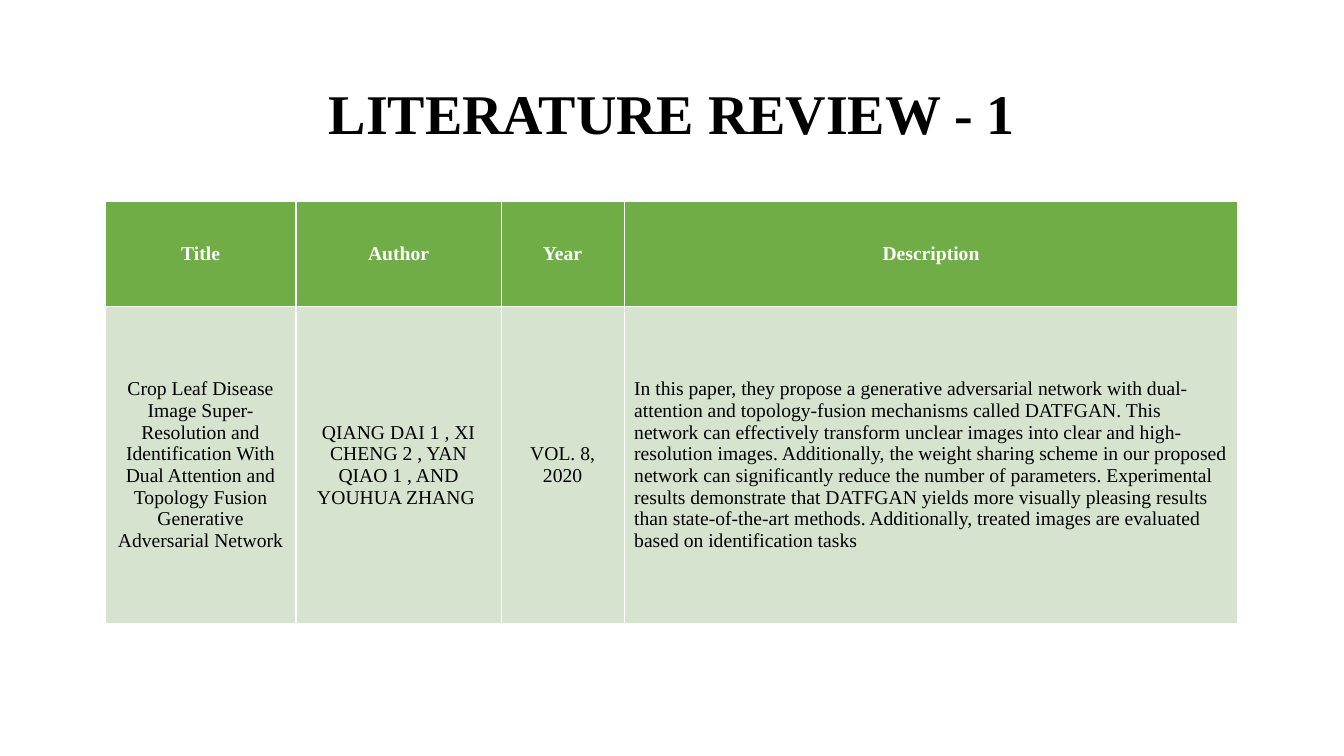
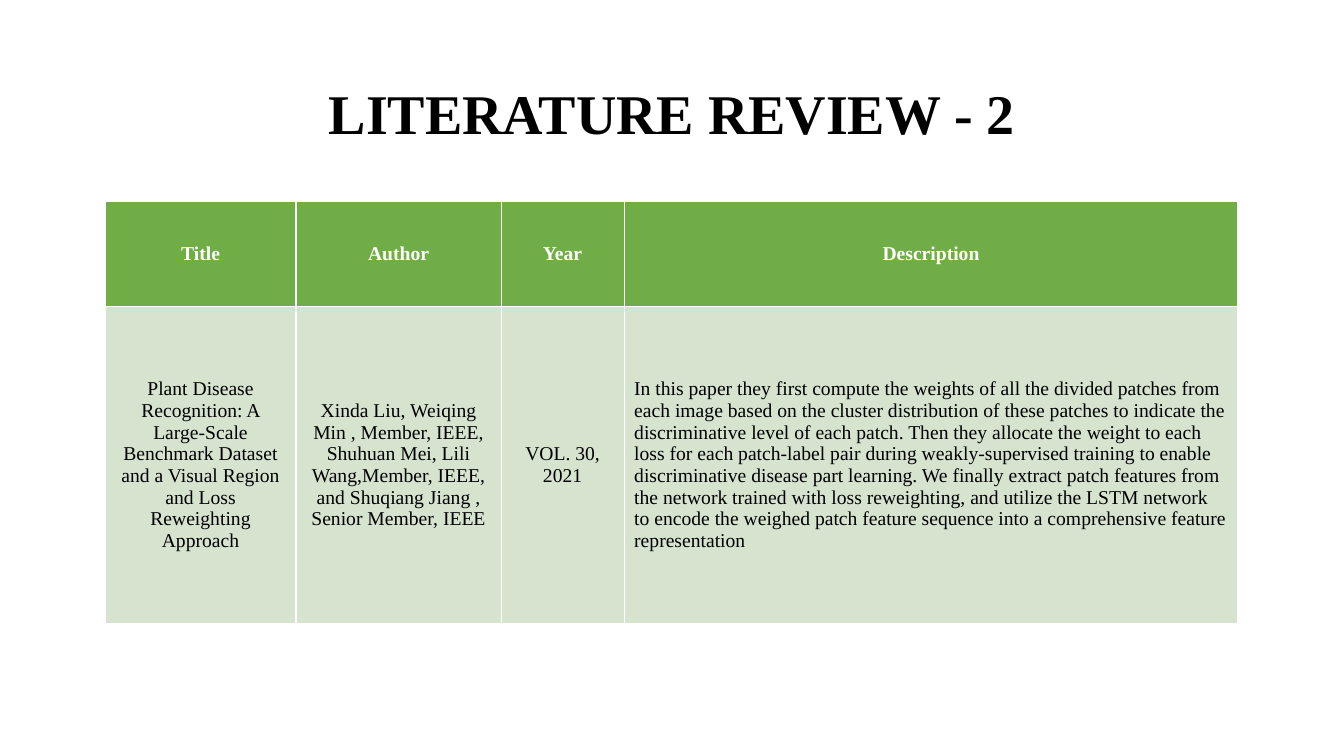
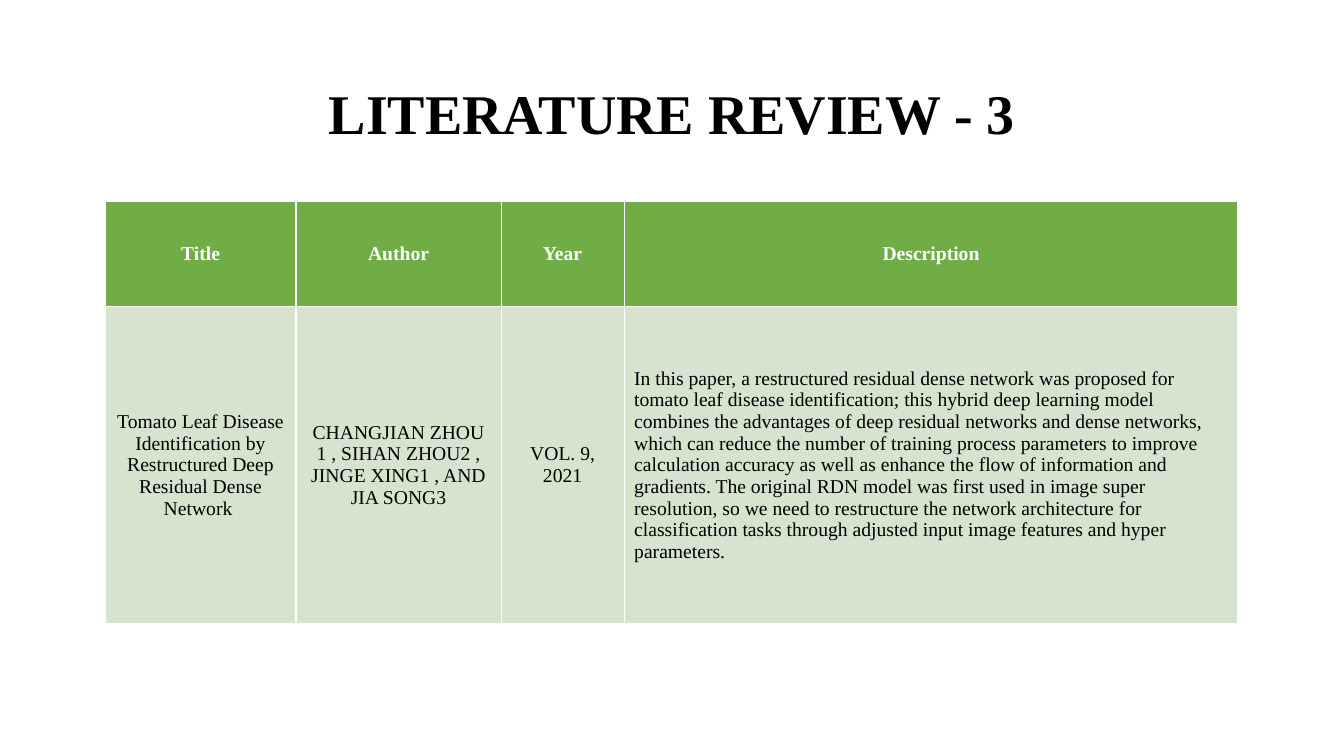
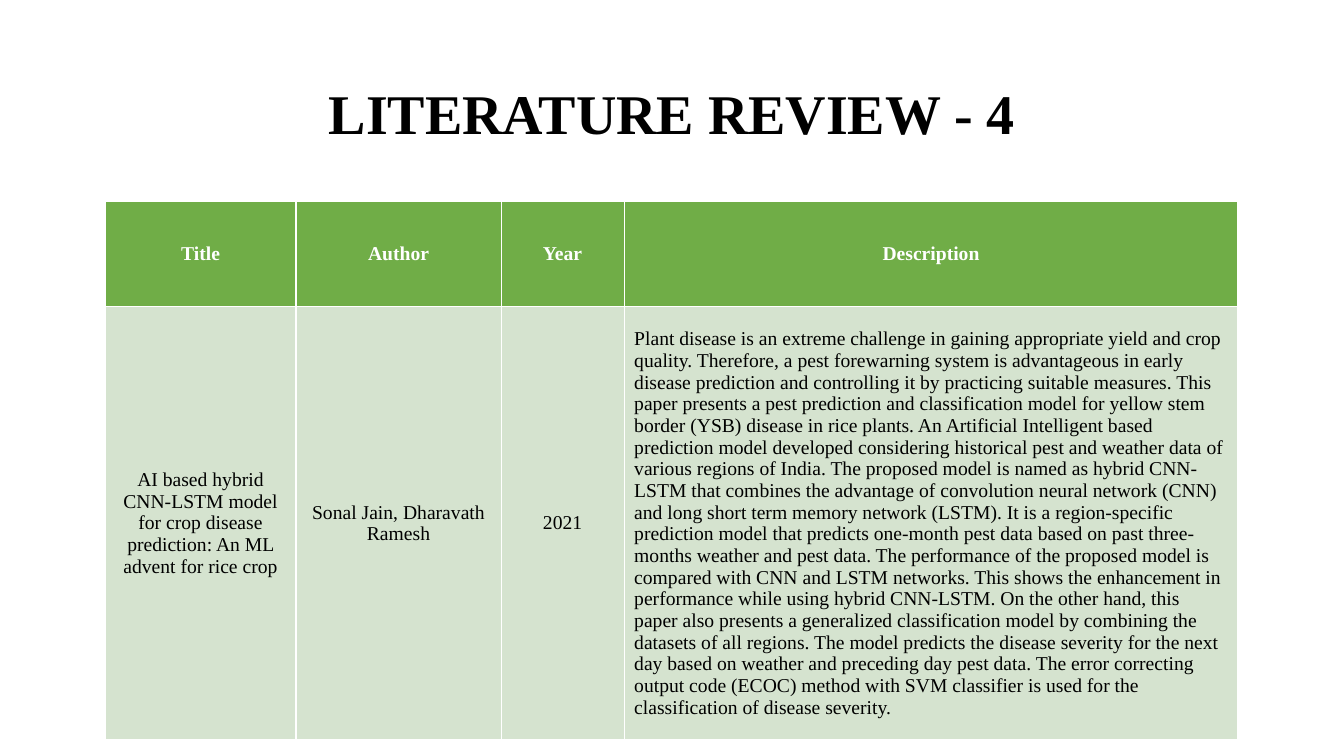
from dataclasses import dataclass

from pptx import Presentation
from pptx.dml.color import RGBColor
from pptx.enum import text
from pptx.slide import Slide
from pptx.table import _Cell
from pptx.text.text import TextFrame
from pptx.util import Cm, Pt

FONT = "Times New Roman"
BLACK = RGBColor(0x00, 0x00, 0x00)
WHITE = RGBColor(0xFF, 0xFF, 0xFF)
GREEN = RGBColor(0x70, 0xAD, 0x47)
PALE_GREEN = RGBColor(0xD5, 0xE3, 0xCF)

BLANK_LAYOUT = 6
HEADINGS = ("Title", "Author", "Year", "Description")
COLUMN_WIDTHS = (Cm(4.81), Cm(5.17), Cm(3.1), Cm(15.47))
ROW_HEIGHTS = (Cm(2.64), Cm(8))
CENTER = text.PP_ALIGN.CENTER
LEFT = text.PP_ALIGN.LEFT


@dataclass(frozen=True)
class Paper:
    title: str
    authors: str
    year: str
    sentences: tuple[str, ...]

    def cells(self) -> tuple[str, ...]:
        return self.title, self.authors, self.year, " ".join(self.sentences)


PAPERS = (
    Paper(
        "Crop Leaf Disease Image Super-Resolution and Identification With Dual "
        "Attention and Topology Fusion Generative Adversarial Network",
        "QIANG DAI 1 , XI CHENG 2 , YAN QIAO 1 , AND YOUHUA ZHANG ",
        "VOL. 8, 2020",
        (
            "In this paper, they propose a generative adversarial network with "
            "dual-attention and topology-fusion mechanisms called DATFGAN.",
            "This network can effectively transform unclear images into clear and "
            "high-resolution images.",
            "Additionally, the weight sharing scheme in our proposed network can "
            "significantly reduce the number of parameters.",
            "Experimental results demonstrate that DATFGAN yields more visually "
            "pleasing results than state-of-the-art methods.",
            "Additionally, treated images are evaluated based on identification tasks",
        ),
    ),
    Paper(
        "Plant Disease Recognition: A Large-Scale Benchmark Dataset and a Visual "
        "Region and Loss Reweighting Approach",
        "Xinda Liu, Weiqing Min , Member, IEEE, Shuhuan Mei, Lili Wang,\tMember, "
        "IEEE, and Shuqiang Jiang , Senior Member, IEEE",
        "VOL. 30, 2021",
        (
            "In this paper they first compute the weights of all the divided patches "
            "from each image based on the cluster distribution of these patches to "
            "indicate the discriminative level of each patch.",
            "Then they allocate the weight to each loss for each patch-label pair "
            "during weakly-supervised training to enable discriminative disease part "
            "learning.",
            "We finally extract patch features from the network trained with loss "
            "reweighting, and utilize the LSTM network to encode the weighed patch "
            "feature sequence into a comprehensive feature representation",
        ),
    ),
    Paper(
        "Tomato Leaf Disease Identification by Restructured Deep Residual Dense "
        "Network ",
        "CHANGJIAN ZHOU 1 , SIHAN ZHOU2 , JINGE XING1 , AND JIA SONG3",
        "VOL. 9, 2021",
        (
            "In this paper, a restructured residual dense network was proposed for "
            "tomato leaf disease identification; this hybrid deep learning model "
            "combines the advantages of deep residual networks and dense networks, "
            "which can reduce the number of training process parameters to improve "
            "calculation accuracy as well as enhance the flow of information and "
            "gradients.",
            "The original RDN model was first used in image super resolution, so we "
            "need to restructure the network architecture for classification tasks "
            "through adjusted input image features and hyper parameters.",
        ),
    ),
    Paper(
        "AI based hybrid CNN-LSTM model for crop disease prediction: An ML advent for "
        "rice crop",
        "Sonal Jain, Dharavath Ramesh",
        "2021",
        (
            "Plant disease is an extreme challenge in gaining appropriate yield and "
            "crop quality.",
            "Therefore, a pest forewarning system is advantageous in early disease "
            "prediction and controlling it by practicing suitable measures.",
            "This paper presents a pest prediction and classification model for yellow "
            "stem border (YSB) disease in rice plants.",
            "An Artificial Intelligent based prediction model developed considering "
            "historical pest and weather data of various regions of India.",
            "The proposed model is named as hybrid CNN-LSTM that combines the "
            "advantage of convolution neural network (CNN) and long short term memory "
            "network (LSTM).",
            "It is a region-specific prediction model that predicts one-month pest "
            "data based on past three-months weather and pest data.",
            "The performance of the proposed model is compared with CNN and LSTM "
            "networks.",
            "This shows the enhancement in performance while using hybrid CNN-LSTM.",
            "On the other hand, this paper also presents a generalized classification "
            "model by combining the datasets of all regions.",
            "The model predicts the disease severity for the next day based on weather "
            "and preceding day pest data.",
            "The error correcting output code (ECOC) method with SVM classifier is "
            "used for the classification of disease severity.",
        ),
    ),
)


def write(
    frame: TextFrame,
    content: str,
    size: int,
    color: RGBColor,
    bold: bool,
    alignment: text.PP_ALIGN = CENTER,
) -> None:
    paragraph = frame.paragraphs[0]
    paragraph.text = content
    paragraph.alignment = alignment
    font = paragraph.font
    font.name = FONT
    font.size = Pt(size)
    font.bold = bold
    font.color.rgb = color


def add_title(slide: Slide, content: str) -> None:
    box = slide.shapes.add_textbox(Cm(6.98), Cm(1.85), Cm(19.91), Cm(1.96))
    box.text_frame.word_wrap = True
    write(box.text_frame, content, 40, BLACK, bold=True)


def fill_cell(cell: _Cell, content: str, is_header: bool, alignment: text.PP_ALIGN) -> None:
    cell.fill.solid()
    cell.fill.fore_color.rgb = GREEN if is_header else PALE_GREEN
    cell.vertical_anchor = text.MSO_ANCHOR.MIDDLE
    color = WHITE if is_header else BLACK
    write(cell.text_frame, content, 14, color, is_header, alignment)


def add_paper_table(slide: Slide, paper: Paper) -> None:
    """Add the table; its white borders come from the default table style."""
    rows = (HEADINGS, paper.cells())
    table = slide.shapes.add_table(
        len(rows), len(HEADINGS), Cm(2.65), Cm(5.08), sum(COLUMN_WIDTHS), sum(ROW_HEIGHTS)
    ).table
    for column, width in zip(table.columns, COLUMN_WIDTHS):
        column.width = width
    for row, height, contents in zip(table.rows, ROW_HEIGHTS, rows):
        row.height = height
        is_header = contents is HEADINGS
        for heading, cell, content in zip(HEADINGS, row.cells, contents):
            is_prose = heading == "Description" and not is_header
            fill_cell(cell, content, is_header, LEFT if is_prose else CENTER)


def main() -> None:
    presentation = Presentation()
    presentation.slide_width = Cm(33.87)
    presentation.slide_height = Cm(19.05)
    for number, paper in enumerate(PAPERS, start=1):
        slide = presentation.slides.add_slide(presentation.slide_layouts[BLANK_LAYOUT])
        add_title(slide, f"LITERATURE REVIEW - {number}")
        add_paper_table(slide, paper)
    presentation.save("out.pptx")


if __name__ == "__main__":
    main()
